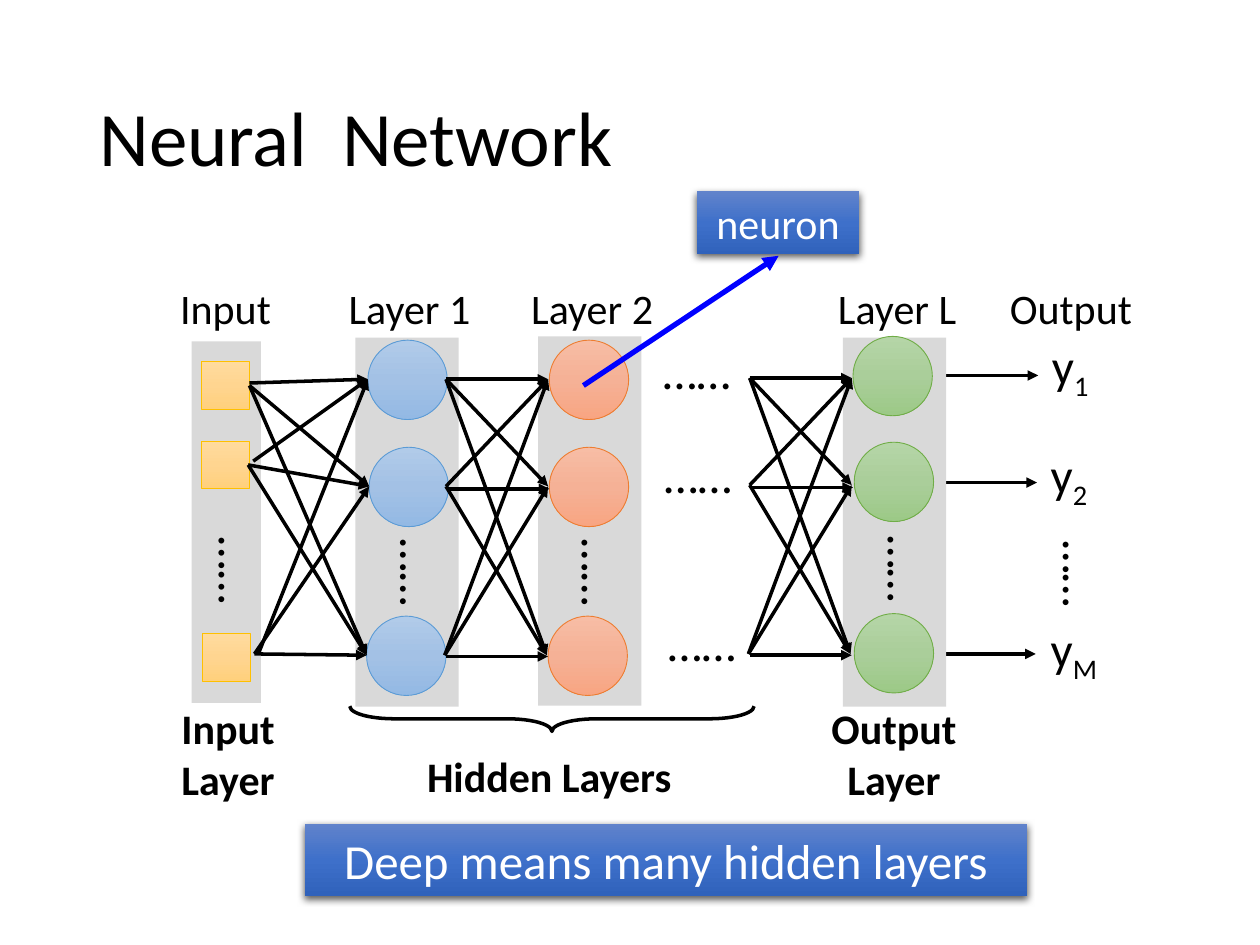
from copy import deepcopy
from itertools import product

from lxml import etree
from pptx import Presentation
from pptx.dml.color import RGBColor
from pptx.enum.shapes import MSO_CONNECTOR, MSO_SHAPE
from pptx.enum.text import MSO_ANCHOR, MSO_AUTO_SIZE, PP_ALIGN
from pptx.oxml.ns import qn
from pptx.util import Inches, Pt

RECT, OVAL, BRACE = MSO_SHAPE.RECTANGLE, MSO_SHAPE.OVAL, MSO_SHAPE.RIGHT_BRACE
STRAIGHT = MSO_CONNECTOR.STRAIGHT
LEFT, CENTER = PP_ALIGN.LEFT, PP_ALIGN.CENTER
TOP, MIDDLE = MSO_ANCHOR.TOP, MSO_ANCHOR.MIDDLE
GROW = MSO_AUTO_SIZE.SHAPE_TO_FIT_TEXT

FONT = "Calibri"
COLORS = {"text": "000000", "white": "FFFFFF", "band": "D9D9D9", "pointer": "0000FF",
          "input": "FFC000", "first": "5B9BD5", "second": "ED7D31", "last": "70AD47"}
GRADIENTS = {
    "input": ("FFDB9E", "FFD590", "FFD07C"),
    "first": ("B1CBE9", "A3C1E5", "93B9E4"),
    "second": ("F7BDA5", "F5B196", "F8A582"),
    "last": ("B5D5A7", "AACE9A", "9CC987"),
    "callout": ("6183CB", "3E70CA", "3062BB"),
}
COLUMNS, ROWS = 100, 75
NODE, DOTS = 6.3, "……"


def rgb(name):
    return RGBColor.from_string(COLORS[name])


class NetworkSlide:
    """Places elements on a grid of COLUMNS by ROWS."""

    def __init__(self, prs):
        self.column, self.row = prs.slide_width / COLUMNS, prs.slide_height / ROWS
        self.slide = prs.slides.add_slide(prs.slide_layouts[6])
        self.ungroup()

    def group(self):
        self.shapes = self.slide.shapes.add_group_shape().shapes

    def ungroup(self):
        self.shapes = self.slide.shapes

    def at(self, *lengths):
        return [round(n * (self.row if i % 2 else self.column)) for i, n in enumerate(lengths)]

    def fill_text(self, shape, text, size, color="text", bold=False, align=CENTER,
                  anchor=TOP, sub="", grow=True):
        frame = shape.text_frame
        frame.word_wrap, frame.vertical_anchor = True, anchor
        if grow:
            frame.auto_size = GROW
        paragraph = frame.paragraphs[0]
        paragraph.alignment = align
        for part in filter(None, (text, sub)):
            run = paragraph.add_run()
            run.text = part
            for name, value in {"name": FONT, "size": Pt(size), "bold": bold}.items():
                setattr(run.font, name, value)
            run.font.color.rgb = rgb(color)
        if sub:
            run.font._element.set("baseline", "-25000")
        return paragraph

    def text(self, box, text, size=24, turn=0, **style):
        shape = self.shapes.add_textbox(*self.at(*box))
        shape.rotation = turn
        return self.fill_text(shape, text, size, **style)

    def dots(self, x, y, turn=0):
        self.text((x, y, 8.4, 5.7), DOTS, 28, turn)

    def shape(self, kind, box):
        shape = self.shapes.add_shape(kind, *self.at(*box))
        shape.shadow.inherit = False
        shape.line.fill.background()
        return shape

    def band(self, *box):
        fill = self.shape(RECT, box).fill
        fill.solid()
        fill.fore_color.rgb = rgb("band")

    def gradient(self, kind, box, name):
        shape = self.shape(kind, box)
        shape.fill.gradient()
        shape.fill.gradient_angle = 270
        stops = shape._element.spPr.find(".//" + qn("a:gsLst"))
        stops.insert(1, deepcopy(stops[0]))
        for i, color in enumerate(GRADIENTS[name]):
            stop = shape.fill.gradient_stops[i]
            stop.position, stop.color.rgb = i / 2, RGBColor.from_string(color)
        return shape

    def node(self, kind, x, y, side, name):
        line = self.gradient(kind, (x, y, side, side), name).line
        line.color.rgb, line.width = rgb(name), Pt(0.5)

    def callout(self, box, text, size):
        shape = self.gradient(RECT, box, "callout")
        effects = shape._element.spPr.find(qn("a:effectLst"))
        shadow = etree.SubElement(effects, qn("a:outerShdw"), blurRad="57150", dist="19050",
                                  dir="5400000", algn="ctr", rotWithShape="0")
        color = etree.SubElement(shadow, qn("a:srgbClr"), val="000000")
        etree.SubElement(color, qn("a:alpha"), val="63000")
        self.fill_text(shape, text, size, "white")

    def brace(self, box):
        shape = self.shape(BRACE, box)
        shape.rotation = 90
        shape.adjustments[0] = 1.76
        shape.fill.background()
        shape.line.color.rgb, shape.line.width = rgb("text"), Pt(2)

    def arrow(self, start, end, color="text", width=2):
        arrow = self.shapes.add_connector(STRAIGHT, *self.at(*start, *end))
        arrow.line.color.rgb, arrow.line.width = rgb(color), Pt(width)
        etree.SubElement(arrow.line._get_or_add_ln(), qn("a:tailEnd"), type="triangle")
        etree.SubElement(arrow._element.spPr, qn("a:effectLst"))

    def layer(self, label, x, top, nodes, dots, name):
        self.group()
        self.band(x, top, 8.2, 29.3)
        self.text((x - 1.9, 21.9, 12.4, 5), label)
        for node in nodes:
            self.node(OVAL, *node, NODE, name)
        self.dots(*dots, turn=90)
        self.ungroup()

    def hidden_mesh(self, dx=0, dy=0):
        """Joins every node of one layer to every node of the next."""
        self.group()
        for x, y in ((35.4, 30.1), (35.5, 38.8), (35.4, 52.1)):
            self.arrow((x + dx, y + dy), (x + 8.1 + dx, y + dy))
        points = ((35.4, 30.1), (35.4, 38.6), (35.3, 52))
        for (x, y), (end_x, end_y) in product(points, points):
            if y != end_y:
                self.arrow((x + dx, y + dy), (end_x + 8.1 + dx, end_y + dy))
        self.ungroup()


def main():
    prs = Presentation()
    prs.slide_width, prs.slide_height = Inches(10), Inches(7.5)
    net = NetworkSlide(prs)

    # Layer captions and title
    net.text((64.6, 55.3, 12.7, 9.1), "Output Layer", bold=True)
    net.text((32.3, 59.1, 22.6, 5), "Hidden Layers", bold=True)
    net.brace((42.8, 41, 2, 32.1))
    net.band(15.2, 27.1, 5.5, 28.7)
    net.text((13, 55.3, 10.2, 9.1), "Input Layer", bold=True)
    title = net.text((6.9, 4, 86.2, 14.5), "Neural  Network", 44, align=LEFT,
                     anchor=MIDDLE, grow=False)
    title.line_spacing = 0.9
    for x, label in ((11.7, "Input"), (78.8, "Output")):
        net.text((x, 21.9, 12.4, 5), label)

    # Output arrows, starting behind the last layer
    for x, y, end in ((71.1, 38.3, 82.3), (72.3, 51.9, 82.2), (70.9, 29.8, 82.4)):
        net.arrow((x, y), (end, y))

    # Input nodes
    for x, y in ((16, 35), (16, 28.7), (16.1, 50.3)):
        net.node(RECT, x, y, 3.8, "input")
    net.dots(14.7, 42.4, 90)

    # Neuron layers
    net.layer("Layer 1", 28.2, 26.8, ((29.2, 27), (29.3, 35.5), (29.1, 48.9)),
              (29.1, 42.6), "first")
    net.layer("Layer 2", 42.7, 26.7, ((43.6, 27), (43.6, 35.5), (43.5, 48.9)),
              (43.5, 42.6), "second")
    net.layer("Layer L", 66.9, 26.8, ((67.7, 26.7), (67.8, 35.1), (67.8, 48.7)),
              (67.8, 42.3), "last")
    for x, y in ((51.1, 26.5), (51.2, 34.8), (51.5, 48.1)):
        net.dots(x, y)

    # Connections between hidden layers and from the input
    net.hidden_mesh()
    first_layer = ((29.2, 30.1), (29.3, 38.6), (29.1, 52))
    for direct, others in (((19.8, 30.4), (19.8, 30.6)), ((20.1, 36.6), (19.7, 36.9)),
                           ((20.5, 51.9), (20.2, 51.9))):
        for start, end in zip((direct, others, others), first_layer):
            net.arrow(start, end)

    # Output values
    net.dots(81.7, 42.7, 90)
    for x, y, index in ((82.5, 26.1, "1"), (82.4, 34.8, "2"), (82.4, 48.6, "M")):
        net.text((x, y, 6.9, 5.7), "y", 28, align=LEFT, sub=index)

    # Message, last connections and the neuron pointer
    net.callout((24.2, 65.4, 57.3, 5.7), "Deep means many hidden layers", 28)
    net.hidden_mesh(24.1, -0.1)
    net.callout((55.3, 15.2, 12.9, 5), "neuron", 24)
    net.arrow((46.3, 30.6), (61.8, 20.3), "pointer", 3)

    prs.save("out.pptx")


if __name__ == "__main__":
    main()
